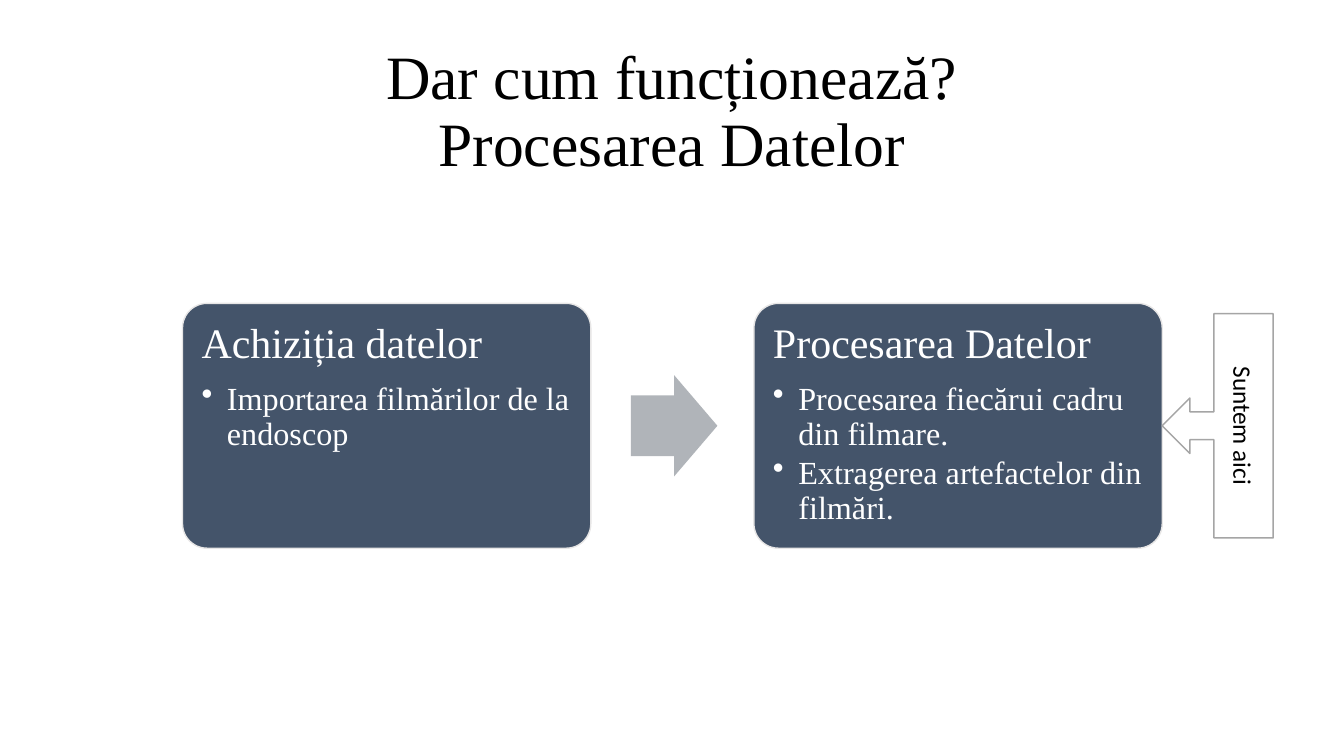
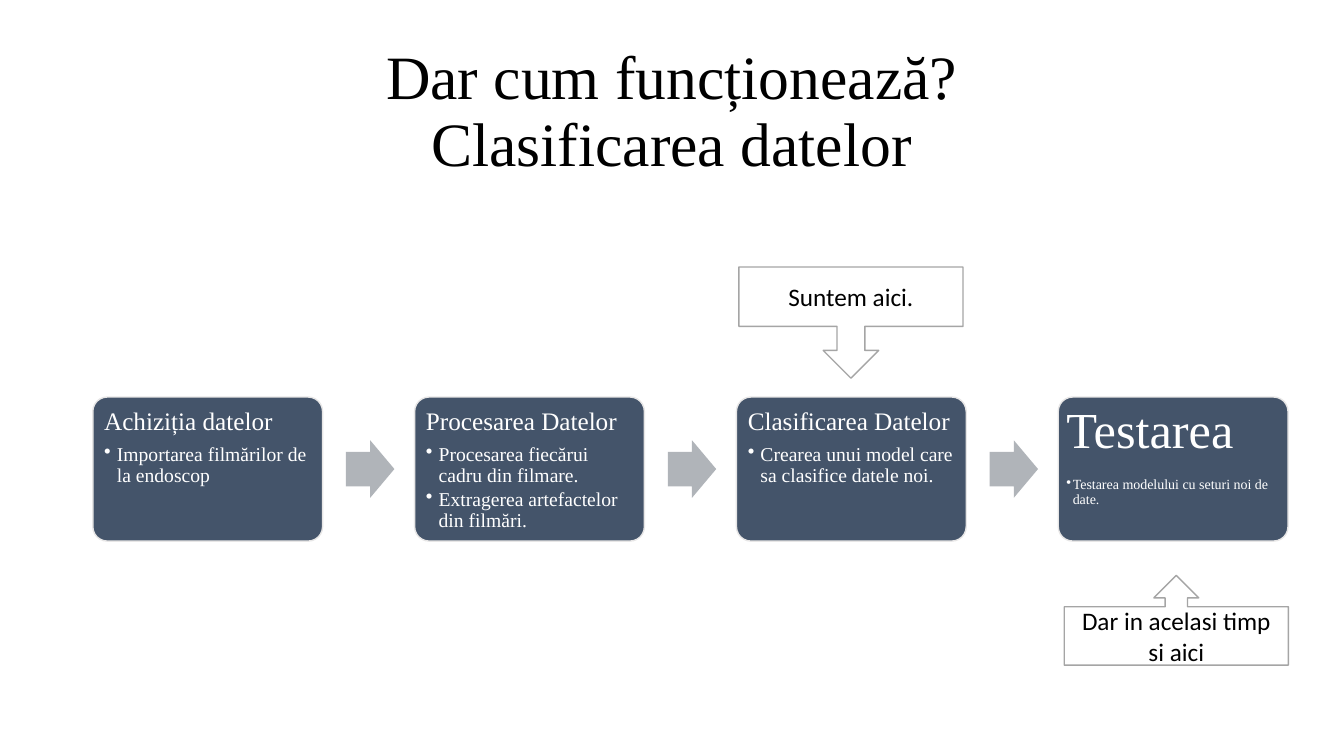
"""Build two slides on the steps of a data processing pipeline."""
from lxml import etree
from pptx import Presentation
from pptx.dml.color import RGBColor
from pptx.enum.shapes import MSO_SHAPE
from pptx.enum.text import MSO_ANCHOR, PP_ALIGN
from pptx.oxml.ns import qn
from pptx.util import Cm, Pt

ROUNDED = MSO_SHAPE.ROUNDED_RECTANGLE
ARROW = MSO_SHAPE.RIGHT_ARROW
DOWN = MSO_SHAPE.DOWN_ARROW_CALLOUT
UP = MSO_SHAPE.UP_ARROW_CALLOUT
TOP, MIDDLE = MSO_ANCHOR.TOP, MSO_ANCHOR.MIDDLE
LEFT, CENTER = PP_ALIGN.LEFT, PP_ALIGN.CENTER

COLORS = {"box": "44546A", "box_line": "E7E6E6", "arrow": "B0B4B9",
          "callout_line": "A5A5A5", "white": "FFFFFF", "black": "000000"}
SERIF, SANS = "Times New Roman", "Calibri"

ACQUIRE = ("Achiziția datelor", ["Importarea filmărilor de la endoscop"])
PROCESS = ("Procesarea Datelor", ["Procesarea fiecărui cadru din filmare.",
                                  "Extragerea artefactelor din filmări."])
CLASSIFY = ("Clasificarea Datelor", ["Crearea unui model care sa clasifice datele noi."])
TEST = ("Testarea", ["Testarea modelului cu seturi noi de date."])

LARGE = {"head": 30, "body": 23, "inset": 0.3, "indent": 0.64}
SMALL = {"head": 18, "body": 14, "inset": 0.18, "indent": 0.32}
TIGHT = {"head": 36, "body": 10, "inset": 0.1, "indent": 0.16}

SLIDES = [
    {"title": "Procesarea Datelor",
     "left": 4.6, "mid": 10.73, "box": (10.29, 6.17), "pitch": 14.4,
     "arrow": (2.18, 2.55), "arrow_offset": 11.3,
     "steps": [(ACQUIRE, LARGE), (PROCESS, LARGE)],
     "callouts": [(DOWN, 27.86, 9.33, 5.65, 2.8, 90, 0.534, "Suntem aici")]},
    {"title": "Clasificarea datelor",
     "left": 2.34, "mid": 11.82, "box": (5.79, 3.63), "pitch": 8.11,
     "arrow": (1.22, 1.45), "arrow_offset": 6.38,
     "steps": [(ACQUIRE, SMALL), (PROCESS, SMALL), (CLASSIFY, SMALL), (TEST, TIGHT)],
     "callouts": [(DOWN, 18.62, 6.73, 5.65, 2.8, 0, 0.534, "Suntem aici."),
                  (UP, 26.82, 14.5, 5.65, 2.26, 0, 0.65, "Dar in acelasi timp si aici")]},
]


def add_shape(s, kind, x, y, w, h, fill, line=None):
    sp = s.shapes.add_shape(kind, Cm(x), Cm(y), Cm(w), Cm(h))
    sp.shadow.inherit = False
    sp.fill.solid()
    sp.fill.fore_color.rgb = RGBColor.from_string(COLORS[fill])
    if line:
        sp.line.color.rgb = RGBColor.from_string(COLORS[line])
        sp.line.width = Pt(1)
    else:
        sp.line.fill.background()
    return sp


def add_run(p, text, size, font, color):
    r = p.add_run()
    r.text = text
    r.font.size = Pt(size)
    r.font.name = font
    r.font.color.rgb = RGBColor.from_string(COLORS[color])


prs = Presentation()
prs.slide_width, prs.slide_height = Cm(33.87), Cm(19.05)

for page in SLIDES:
    s = prs.slides.add_slide(prs.slide_layouts[6])

    tf = s.shapes.add_textbox(Cm(2.33), Cm(1.01), Cm(29.21), Cm(3.68)).text_frame
    tf.word_wrap = True
    tf.vertical_anchor = MIDDLE
    p = tf.paragraphs[0]
    p.alignment = CENTER
    p.line_spacing = 0.9
    add_run(p, "Dar cum funcționează?", 44, SERIF, "black")
    p.add_line_break()
    add_run(p, page["title"], 44, SERIF, "black")

    box_w, box_h = page["box"]
    arrow_w, arrow_h = page["arrow"]
    for i, ((heading, bullets), style) in enumerate(page["steps"]):
        x = page["left"] + i * page["pitch"]
        if i:
            sp = add_shape(s, ARROW, x - page["pitch"] + page["arrow_offset"],
                           page["mid"] - arrow_h / 2, arrow_w, arrow_h, "arrow")
            sp.adjustments[0], sp.adjustments[1] = 0.6, 0.5

        sp = add_shape(s, ROUNDED, x, page["mid"] - box_h / 2, box_w, box_h,
                       "box", "box_line")
        sp.adjustments[0] = 0.1
        tf = sp.text_frame
        tf.word_wrap = True
        tf.vertical_anchor = TOP
        inset = Cm(style["inset"])
        tf.margin_left = tf.margin_right = tf.margin_top = tf.margin_bottom = inset
        p = tf.paragraphs[0]
        p.alignment = LEFT
        p.line_spacing = 0.9
        p.space_after = Pt(0.35 * style["head"])
        add_run(p, heading, style["head"], SERIF, "white")
        for text in bullets:
            p = tf.add_paragraph()
            p.level = 1
            pPr = p._p.get_or_add_pPr()
            pPr.set("marL", str(Cm(style["indent"])))
            pPr.set("indent", str(-Cm(style["indent"])))
            etree.SubElement(pPr, qn("a:buChar")).set("char", "•")
            p.alignment = LEFT
            p.line_spacing = 0.9
            p.space_after = Pt(0.15 * style["body"])
            add_run(p, text, style["body"], SERIF, "white")

    for kind, x, y, w, h, rotation, body_share, text in page["callouts"]:
        sp = add_shape(s, kind, x, y, w, h, "white", "callout_line")
        sp.rotation = rotation
        sp.adjustments[3] = body_share
        tf = sp.text_frame
        tf.word_wrap = True
        tf.vertical_anchor = MIDDLE
        p = tf.paragraphs[0]
        p.alignment = CENTER
        add_run(p, text, 18, SANS, "black")

prs.save("out.pptx")
